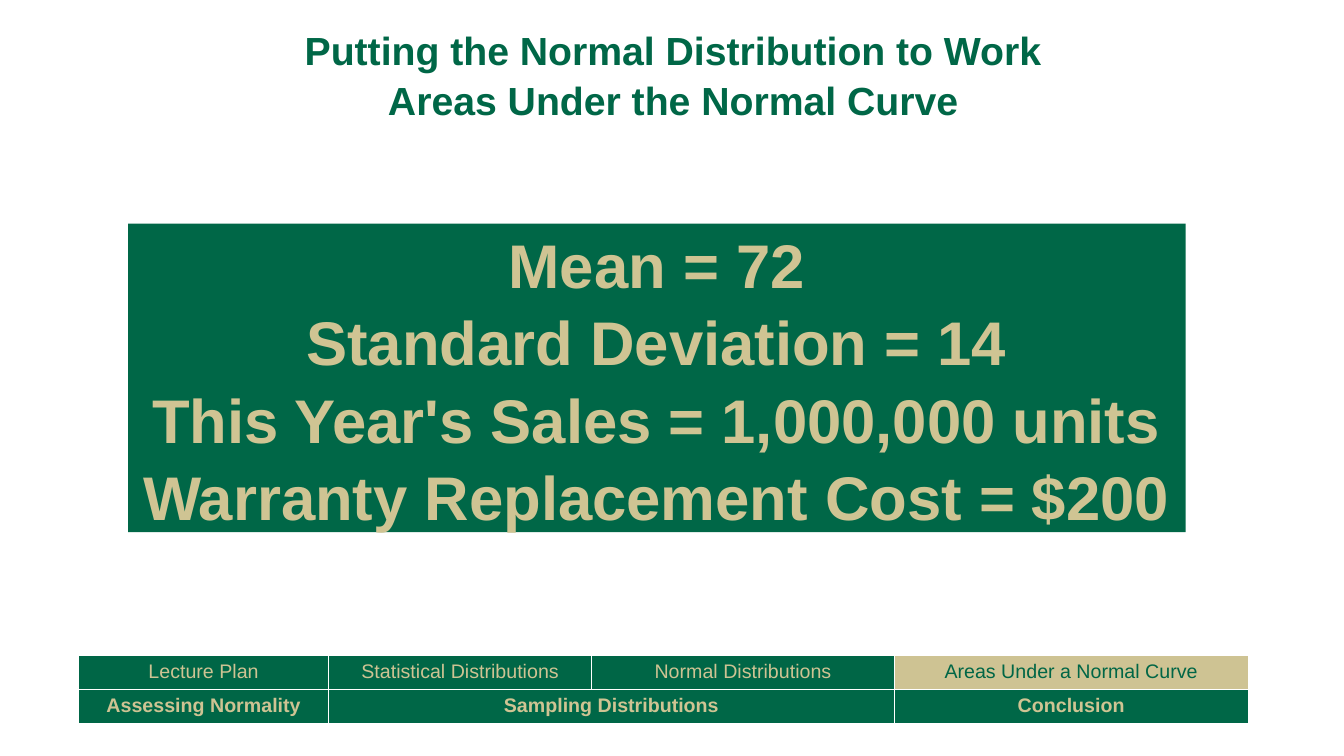
import pptx
import pptx.util
import pptx.dml.color
import pptx.enum.shapes
import pptx.enum.text
import pptx.oxml
import pptx.oxml.ns

Inches = pptx.util.Inches
RGBColor = pptx.dml.color.RGBColor
Anchor = pptx.enum.text.MSO_ANCHOR
AutoSize = pptx.enum.text.MSO_AUTO_SIZE

GREEN = RGBColor(0x00, 0x67, 0x47)
GOLD = RGBColor(0xCF, 0xC4, 0x93)
NAV_GREEN = RGBColor(0x00, 0x66, 0x46)
NAV_GOLD = RGBColor(0xCE, 0xC3, 0x93)
WHITE = RGBColor(0xFF, 0xFF, 0xFF)

HEADING = "Putting the Normal Distribution to Work\vAreas Under the Normal Curve"
FACTS = [
    "Mean = 72",
    "Standard Deviation = 14",
    "This Year's Sales = 1,000,000 units",
    "Warranty Replacement Cost = $200",
]
# Each topic: text, columns spanned, fill, text colour, bold
TOPIC_ROWS = [
    [
        ("Lecture Plan", 1, NAV_GREEN, NAV_GOLD, False),
        ("Statistical Distributions", 1, NAV_GREEN, NAV_GOLD, False),
        ("Normal Distributions", 1, NAV_GREEN, NAV_GOLD, False),
        ("Areas Under a Normal Curve", 1, NAV_GOLD, NAV_GREEN, False),
    ],
    [
        ("Assessing Normality", 1, NAV_GREEN, NAV_GOLD, True),
        ("Sampling Distributions", 2, GREEN, GOLD, True),
        ("Conclusion", 1, GREEN, GOLD, True),
    ],
]
TOPIC_WIDTHS = [2.48, 2.61, 3, 3.51]
TOPIC_HEIGHT = 0.34

SLIDE_SIZE = (13.33, 7.5)
HEADING_BOX = (0.84, 0.19, 11.67, 0.85)
FACTS_BOX = (1.27, 2.22, 10.49, 3.06)
TOPICS_AT = (0.78, 6.5)


def write(frame, text, size, color, bold=True, spacing=1.0):
    frame.text = text
    for paragraph in frame.paragraphs:
        paragraph.alignment = pptx.enum.text.PP_ALIGN.CENTER
        paragraph.line_spacing = spacing
        for run in paragraph.runs:
            run.font.name = "Arial"
            run.font.size = pptx.util.Pt(size)
            run.font.bold = bold
            run.font.color.rgb = color


def outline_cell(cell, color, points=1):
    """Draw all four borders; called before the fill, which must follow them."""
    properties = cell._tc.get_or_add_tcPr()
    for side in ("lnL", "lnR", "lnT", "lnB"):
        properties.append(pptx.oxml.parse_xml(
            f'<a:{side} {pptx.oxml.ns.nsdecls("a")} w="{pptx.util.Pt(points)}">'
            f'<a:solidFill><a:srgbClr val="{color}"/></a:solidFill></a:{side}>'))


def add_heading(slide):
    title = slide.shapes.title
    title.left, title.top, title.width, title.height = map(Inches, HEADING_BOX)
    frame = title.text_frame
    write(frame, HEADING, 28, GREEN, spacing=1.05)
    frame.vertical_anchor = Anchor.TOP
    frame.auto_size = AutoSize.NONE


def add_facts(slide):
    panel = slide.shapes.add_shape(
        pptx.enum.shapes.MSO_SHAPE.RECTANGLE, *map(Inches, FACTS_BOX))
    panel.shadow.inherit = False
    panel.fill.solid()
    panel.fill.fore_color.rgb = GREEN
    panel.line.fill.background()
    frame = panel.text_frame
    write(frame, "\n".join(FACTS), 44, GOLD, spacing=1.05)
    frame.vertical_anchor = Anchor.MIDDLE
    frame.word_wrap = False
    frame.auto_size = AutoSize.SHAPE_TO_FIT_TEXT


def add_topics(slide):
    size = (sum(TOPIC_WIDTHS), TOPIC_HEIGHT * len(TOPIC_ROWS))
    topics = slide.shapes.add_table(
        len(TOPIC_ROWS), len(TOPIC_WIDTHS), *map(Inches, TOPICS_AT + size)).table
    for column, width in zip(topics.columns, TOPIC_WIDTHS):
        column.width = Inches(width)
    for row_index, row in enumerate(TOPIC_ROWS):
        topics.rows[row_index].height = Inches(TOPIC_HEIGHT)
        column_index = 0
        for text, span, fill, color, bold in row:
            cell = topics.cell(row_index, column_index)
            if span > 1:
                cell.merge(topics.cell(row_index, column_index + span - 1))
            write(cell.text_frame, text, 14, color, bold)
            for offset in range(span):
                part = topics.cell(row_index, column_index + offset)
                outline_cell(part, WHITE)
                part.fill.solid()
                part.fill.fore_color.rgb = fill
            column_index += span


def main():
    deck = pptx.Presentation()
    deck.slide_width, deck.slide_height = map(Inches, SLIDE_SIZE)
    slide = deck.slides.add_slide(deck.slide_layouts.get_by_name("Title Only"))
    add_heading(slide)
    add_facts(slide)
    add_topics(slide)
    deck.save("out.pptx")


if __name__ == "__main__":
    main()
